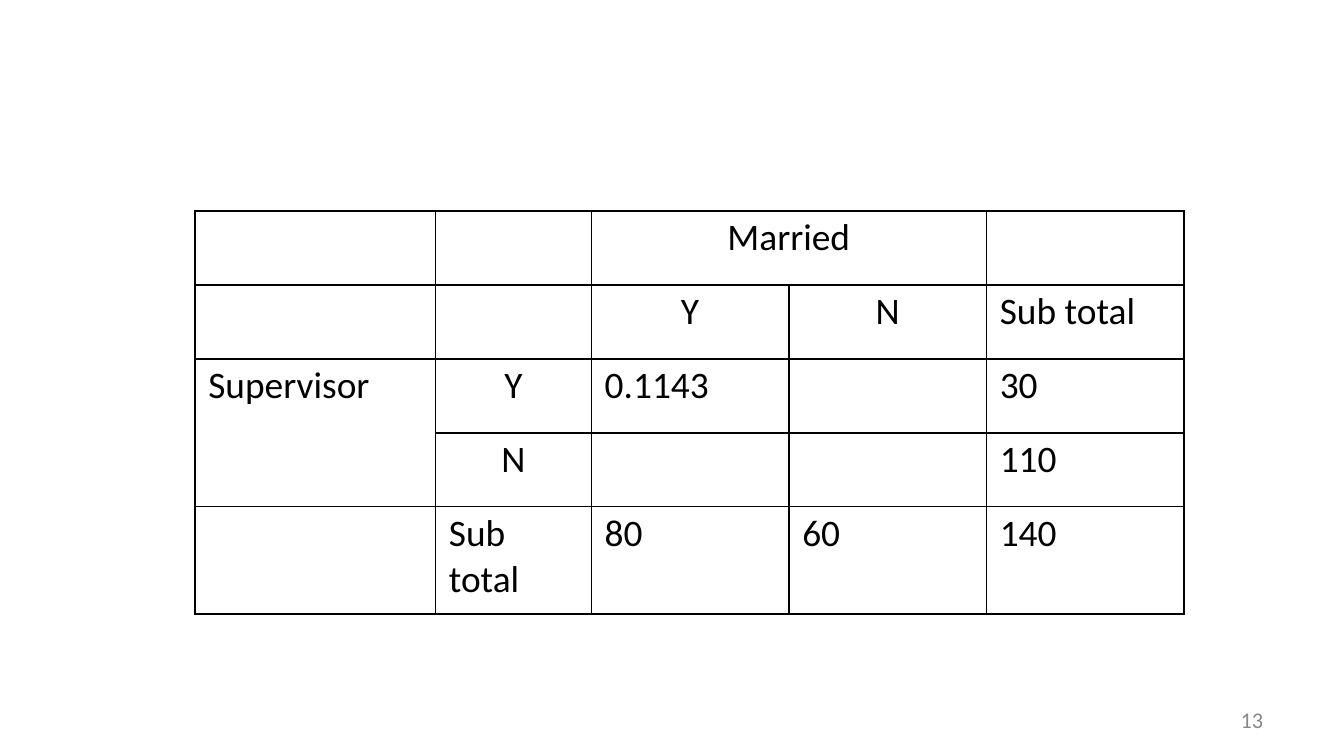
from dataclasses import dataclass
from typing import Any

import pptx
import pptx.dml.color
import pptx.enum.text
import pptx.oxml.ns
import pptx.util
from lxml import etree

Inches = pptx.util.Inches
Pt = pptx.util.Pt
Align = pptx.enum.text.PP_ALIGN


@dataclass(frozen=True)
class Theme:
    font: str = "Calibri"
    ink: str = "000000"
    muted: str = "888888"
    table_size: float = 20
    number_size: float = 12
    border_width: float = 1


@dataclass(frozen=True)
class Entry:
    row: int
    column: int
    text: str
    centered: bool = False


# Slide and table layout, in inches
THEME = Theme()
SLIDE_WIDTH = 10
SLIDE_HEIGHT = SLIDE_WIDTH * 9 / 16
COLUMN_WIDTHS = [1.79, 1.16] + [1.47] * 3
ROW_HEIGHTS = [0.55] * 4 + [0.8]
MERGES = [((0, 2), (0, 3)), ((2, 0), (3, 0))]

# Table contents
ENTRIES = [
    Entry(0, 2, "Married", True),
    Entry(1, 2, "Y", True),
    Entry(1, 3, "N", True),
    Entry(1, 4, "Sub total"),
    Entry(2, 0, "Supervisor"),
    Entry(2, 1, "Y", True),
    Entry(2, 2, "0.1143"),
    Entry(2, 4, "30"),
    Entry(3, 1, "N", True),
    Entry(3, 4, "110"),
    Entry(4, 1, "Sub\ntotal"),
    Entry(4, 2, "80"),
    Entry(4, 3, "60"),
    Entry(4, 4, "140"),
]


# Formatting
def apply_format(target: Any, values: dict[str, Any]) -> None:
    for name, value in values.items():
        setattr(target, name, value)


def style_paragraph(paragraph: Any, size: float, color: str, indent: float = 0) -> None:
    paragraph._p.get_or_add_pPr().set("marL", str(Inches(indent)))
    apply_format(paragraph.font, {"name": THEME.font, "size": Pt(size)})
    paragraph.font.color.rgb = pptx.dml.color.RGBColor.from_string(color)


def style_cell(cell: Any) -> None:
    """Give a cell plain borders, no fill and tight margins."""
    qualified = pptx.oxml.ns.qn
    properties = cell._tc.get_or_add_tcPr()
    for side in ("lnL", "lnR", "lnT", "lnB"):
        line = etree.SubElement(properties, qualified(f"a:{side}"),
                                w=str(Pt(THEME.border_width)))
        fill = etree.SubElement(line, qualified("a:solidFill"))
        etree.SubElement(fill, qualified("a:srgbClr"), val=THEME.ink)
    cell.fill.background()
    apply_format(cell, {"margin_left": 0, "margin_right": 0,
                        "margin_top": Inches(0.03), "margin_bottom": 0})


# Contingency table
def write_entry(table: Any, entry: Entry) -> None:
    frame = table.cell(entry.row, entry.column).text_frame
    frame.text = entry.text
    for paragraph in frame.paragraphs:
        style_paragraph(paragraph, THEME.table_size, THEME.ink,
                        0 if entry.centered else 0.1)
        paragraph.alignment = Align.CENTER if entry.centered else Align.LEFT
    frame.paragraphs[0].space_before = Pt(2.4)


def add_contingency_table(slide: Any) -> None:
    table = slide.shapes.add_table(
        len(ROW_HEIGHTS), len(COLUMN_WIDTHS), Inches(1.45), Inches(1.57),
        Inches(sum(COLUMN_WIDTHS)), Inches(sum(ROW_HEIGHTS))).table
    apply_format(table, {"first_row": False, "horz_banding": False})
    for column, width in zip(table.columns, COLUMN_WIDTHS):
        column.width = Inches(width)
    for row, height in zip(table.rows, ROW_HEIGHTS):
        row.height = Inches(height)
        for cell in row.cells:
            style_cell(cell)
    for first, last in MERGES:
        table.cell(*first).merge(table.cell(*last))
    for entry in ENTRIES:
        write_entry(table, entry)


# Slide number
def add_slide_number(slide: Any, number: str) -> None:
    box = slide.shapes.add_textbox(Inches(9.19), Inches(5.28), Inches(0.27), Inches(0.19))
    frame = box.text_frame
    apply_format(frame, {"margin_left": 0, "margin_right": 0, "margin_top": 0,
                         "margin_bottom": 0, "word_wrap": True, "text": number})
    paragraph = frame.paragraphs[0]
    style_paragraph(paragraph, THEME.number_size, THEME.muted, 0.04)
    paragraph.line_spacing = Pt(12.4)


def main() -> None:
    presentation = pptx.Presentation()
    apply_format(presentation, {"slide_width": Inches(SLIDE_WIDTH),
                                "slide_height": Inches(SLIDE_HEIGHT)})
    slide = presentation.slides.add_slide(presentation.slide_layouts[6])
    add_contingency_table(slide)
    add_slide_number(slide, "13")
    presentation.save("out.pptx")


if __name__ == "__main__":
    main()
